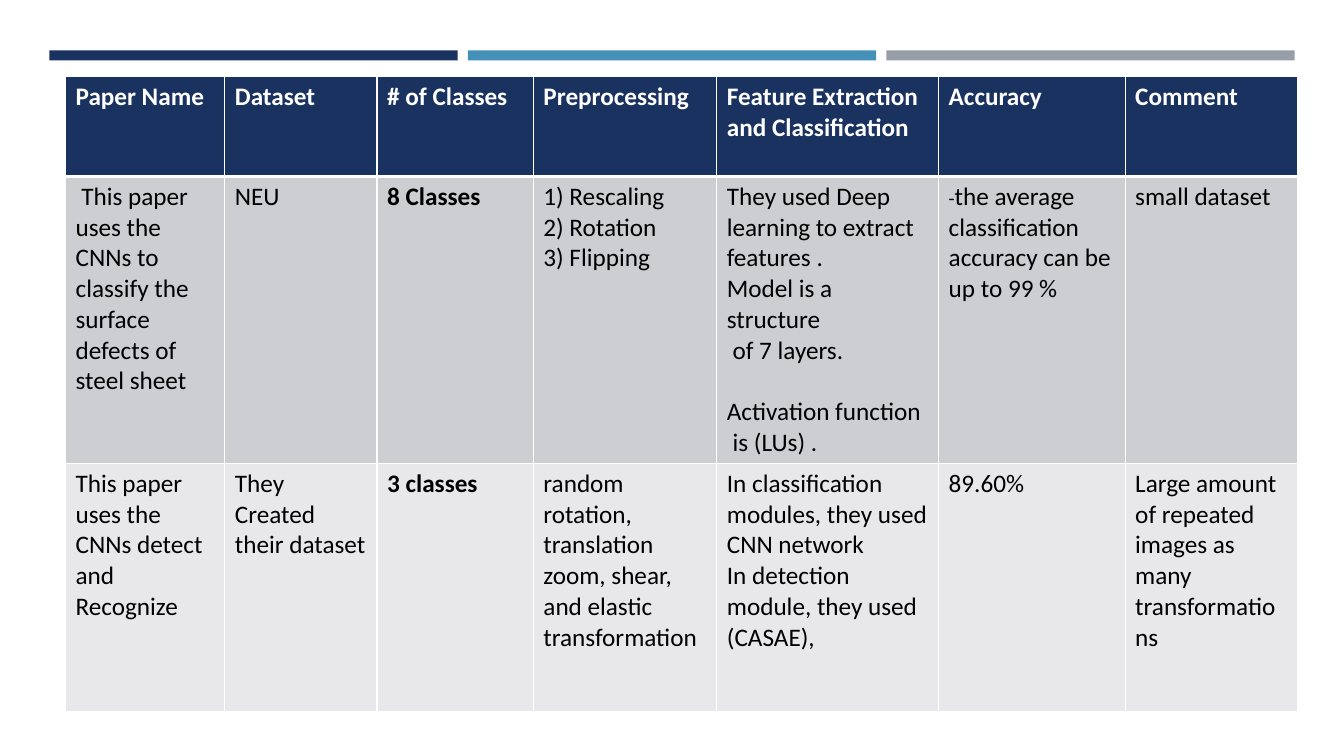
from lxml import etree
from pptx import Presentation
from pptx.dml.color import RGBColor
from pptx.enum.shapes import MSO_SHAPE
from pptx.oxml.ns import qn
from pptx.util import Inches, Pt

RECTANGLE = MSO_SHAPE.RECTANGLE
NAVY, BLUE, GREY = "1A3260", "4590B8", "969FA7"
WHITE, BLACK = "FFFFFF", "000000"
ROW_FILLS = [NAVY, "CDCED2", "E8E8EA"]
CLASSES_COLUMN = 2


def color(hex_value):
    return RGBColor.from_string(hex_value)


def add_borders(cell, widths):
    """Put white lines on a cell, with widths in points for each side."""
    properties = cell._tc.get_or_add_tcPr()
    for position, (side, width) in enumerate(widths.items()):
        line = etree.Element(qn(f"a:{side}"), w=str(Pt(width)))
        fill = etree.SubElement(line, qn("a:solidFill"))
        etree.SubElement(fill, qn("a:srgbClr"), val=WHITE)
        properties.insert(position, line)


presentation = Presentation()
presentation.slide_width = Inches(13.33)
presentation.slide_height = Inches(7.5)
slide = presentation.slides.add_slide(presentation.slide_layouts[6])

# Three bars across the top
BAR_LEFT, BAR_STEP, BAR_WIDTH = 0.49, 4.15, 4.05
for index, bar_color in enumerate([NAVY, BLUE, GREY]):
    bar = slide.shapes.add_shape(
        RECTANGLE, Inches(BAR_LEFT + index * BAR_STEP), Inches(0.5),
        Inches(BAR_WIDTH), Inches(0.1))
    bar.shadow.inherit = False
    bar.fill.solid()
    bar.fill.fore_color.rgb = color(bar_color)
    bar.line.fill.background()

# Table wording: one line of a cell is one paragraph
rows = [
    ["Paper Name", "Dataset", "# of Classes", "Preprocessing",
     "Feature Extraction and Classification", "Accuracy", "Comment"],
    [" This paper uses the CNNs to classify the surface defects of steel sheet",
     "NEU",
     "8 Classes",
     "1) Rescaling\n2) Rotation\n3) Flipping",
     "They used Deep learning to extract features .\nModel is a structure\n"
     " of 7 layers.\nActivation function\n is (LUs) .",
     "-the average classification accuracy can be up to 99 %",
     "small dataset"],
    ["This paper uses the CNNs detect and\nRecognize",
     "They Created their dataset",
     "3 classes",
     "random rotation, translation\nzoom, shear, and elastic transformation",
     "In classification modules, they used CNN network\n"
     "In detection module, they used (CASAE),",
     "89.60%",
     "Large amount of repeated images as many transformations"],
]
column_widths = [1.58, 1.51, 1.55, 1.82, 2.2, 1.85, 1.71]
row_heights = [0.99, 2.84, 2.46]

# Comparison table
table = slide.shapes.add_table(
    len(rows), len(column_widths), Inches(0.65), Inches(0.76),
    Inches(sum(column_widths)), Inches(sum(row_heights))).table
for column, width in zip(table.columns, column_widths):
    column.width = Inches(width)
for row, height in zip(table.rows, row_heights):
    row.height = Inches(height)

for row_index, row_texts in enumerate(rows):
    is_header = row_index == 0
    borders = {"lnL": 1, "lnR": 1, "lnT": 3 if row_index == 1 else 1,
               "lnB": 3 if is_header else 1}
    font_format = {"name": "Calibri", "size": Pt(18)}
    for column_index, cell_text in enumerate(row_texts):
        cell = table.cell(row_index, column_index)
        cell.fill.solid()
        cell.fill.fore_color.rgb = color(ROW_FILLS[row_index])
        add_borders(cell, borders)
        font_format["bold"] = is_header or column_index == CLASSES_COLUMN
        for line_index, line_text in enumerate(cell_text.split("\n")):
            frame = cell.text_frame
            paragraph = frame.add_paragraph() if line_index else frame.paragraphs[0]
            # A leading dash is a smaller run of its own
            dash = "-" if line_text.startswith("-") else ""
            for run_text in filter(None, [dash, line_text.removeprefix("-")]):
                run = paragraph.add_run()
                run.text = run_text
                for name, value in font_format.items():
                    setattr(run.font, name, value)
                run.font.color.rgb = color(WHITE if is_header else BLACK)
                if run_text == "-":
                    run.font.size = Pt(14)
            # One line of space sets the activation function apart
            if line_text == "Activation function":
                paragraph.space_before = Pt(22)

presentation.save("out.pptx")
